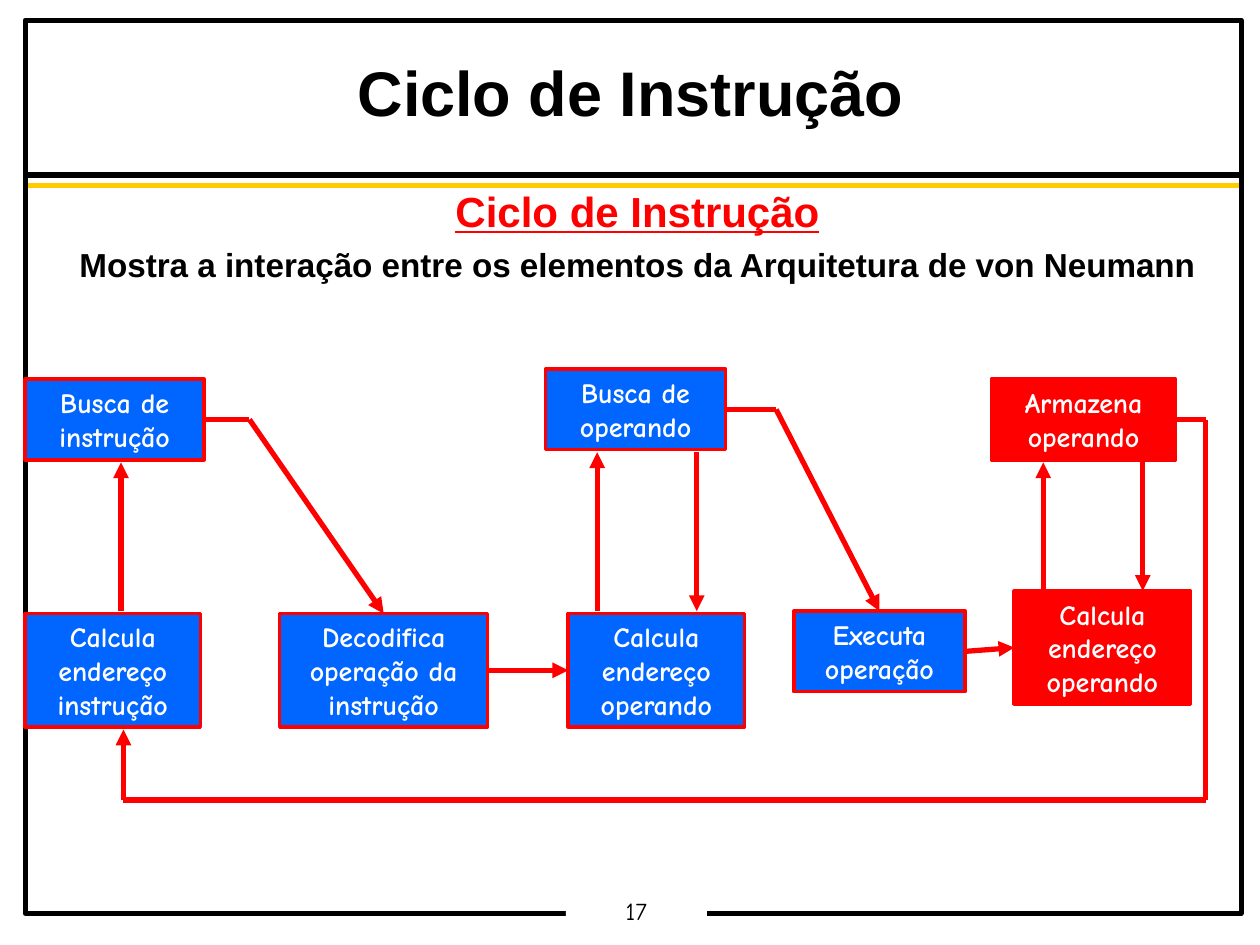
from pptx import Presentation
from pptx.dml.color import RGBColor as RGB
from pptx.enum.shapes import MSO_CONNECTOR as Conn, MSO_SHAPE as Kind
from pptx.enum.text import MSO_ANCHOR as Anchor, PP_ALIGN as Align
from pptx.oxml.ns import qn
from pptx.util import Inches, Pt
from lxml.etree import SubElement

INK = {"black": "000000", "white": "FFFFFF", "red": "FF0000",
       "blue": "0066FF", "gold": "FFCC00"}
SANS, COMIC = "Arial", "Comic Neue"
RIGHT, LEFT, TOP = 3, 1, 0

TITLE = [("Ciclo de Instrução", 36, "black", False, 0)]
BODY = [
    ("Ciclo de Instrução", 24, "red", True, 0),
    ("Mostra a interação entre os elementos da Arquitetura de von Neumann",
     19, "black", False, 7.1),
]
RULES = [(1.39, "black"), (1.47, "gold")]

STEPS = {
    "fetch op": ("Busca de operando", 4.33, 2.93, 1.43, 0.64, "blue"),
    "addr in": ("Calcula endereço instrução", 0.2, 4.87, 1.39, 0.9, "blue"),
    "decode": ("Decodifica operação da instrução", 2.22, 4.87, 1.65, 0.9, "blue"),
    "addr op": ("Calcula endereço operando", 4.51, 4.87, 1.4, 0.9, "blue"),
    "run": ("Executa operação", 6.3, 4.85, 1.36, 0.64, "blue"),
    "store": ("Armazena operando", 7.87, 3.01, 1.46, 0.64, "red"),
    "addr out": ("Calcula endereço operando", 8.05, 4.69, 1.4, 0.9, "red"),
    "fetch in": ("Busca de instrução", 0.2, 3.01, 1.42, 0.64, "blue"),
}

ROUTES = [
    [(0.96, 4.85), (0.96, 3.67)],
    [("fetch in", RIGHT), (1.98, 3.33), ("decode", TOP)],
    [("decode", RIGHT), ("addr op", LEFT)],
    [(4.74, 4.85), (4.74, 3.59)],
    [(5.53, 3.59), (5.53, 4.85)],
    [("fetch op", RIGHT), (6.16, 3.25), ("run", TOP)],
    [("run", RIGHT), ("addr out", LEFT)],
    [(8.28, 4.7), (8.28, 3.67)],
    [(9.07, 3.67), (9.07, 4.69)],
    [("store", RIGHT), (9.57, 3.33), (9.57, 6.35), (0.98, 6.35), (0.98, 5.79)],
]


def tint(name):
    return RGB.from_string(INK[name])


def style(para, size, font, color, bold=False, under=False):
    para.alignment = Align.CENTER
    for run in para.runs:
        face = run.font
        face.size, face.name = Pt(size), font
        face.bold, face.underline = bold, under
        face.color.rgb = tint(color)


def add_box(slide, x, y, w, h, fill=None, line=None, width=2):
    box = slide.shapes.add_shape(
        Kind.RECTANGLE, Inches(x), Inches(y), Inches(w), Inches(h))
    box.shadow.inherit = False
    if fill:
        box.fill.solid()
        box.fill.fore_color.rgb = tint(fill)
    else:
        box.fill.background()
    if line:
        box.line.color.rgb = tint(line)
        box.line.width = Pt(width)
    else:
        box.line.fill.background()
    return box


def add_text(slide, x, y, w, h, rows, space):
    frame = slide.shapes.add_textbox(
        Inches(x), Inches(y), Inches(w), Inches(h)).text_frame
    frame.word_wrap = True
    frame.margin_top = frame.margin_bottom = Inches(0.05)
    frame.text = "\n".join(row[0] for row in rows)
    for para, (_, size, color, under, gap) in zip(frame.paragraphs, rows):
        style(para, size, SANS, color, True, under)
        para.line_spacing = space
        para.space_before = Pt(gap)


def add_line(slide, start, end, color, arrow=False):
    line = slide.shapes.add_connector(
        Conn.STRAIGHT, *[Inches(v) for v in (*start, *end)])
    line.line.color.rgb = tint(color)
    line.line.width = Pt(3)
    if arrow:
        SubElement(line.line._get_or_add_ln(), qn("a:tailEnd"), type="triangle")
    SubElement(line._element.spPr, qn("a:effectLst"))
    return line


def spot(end):
    if end[0] not in STEPS:
        return end
    _, x, y, w, h, _ = STEPS[end[0]]
    return {TOP: (x + w / 2, y), LEFT: (x, y + h / 2),
            RIGHT: (x + w, y + h / 2)}[end[1]]


def add_route(slide, route, boxes):
    for i, (start, end) in enumerate(zip(route, route[1:]), 2):
        line = add_line(slide, spot(start), spot(end), "red", i == len(route))
        if start[0] in boxes:
            line.begin_connect(boxes[start[0]], start[1])
        if end[0] in boxes:
            line.end_connect(boxes[end[0]], end[1])


def main():
    deck = Presentation()
    deck.slide_width, deck.slide_height = Inches(10), Inches(7.5)
    slide = deck.slides.add_slide(deck.slide_layouts[6])

    for y, color in RULES:
        add_line(slide, (0.2, y), (9.84, y), color)
    add_box(slide, 0.2, 0.16, 9.65, 7.09, line="black", width=2.83)
    page = add_box(slide, 4.49, 7.09, 1.12, 0.27, fill="white")
    page.text_frame.text = "17"
    page.text_frame.margin_top = page.text_frame.margin_bottom = Inches(0.03)
    style(page.text_frame.paragraphs[0], 14, COMIC, "black")

    add_text(slide, 0.16, 1.47, 9.8, 1.18, BODY, 0.9)
    add_text(slide, 0.28, 0.42, 9.45, 0.66, TITLE, 0.95)

    boxes = {}
    for key, (text, x, y, w, h, fill) in STEPS.items():
        box = boxes[key] = add_box(slide, x, y, w, h, fill, "red")
        frame = box.text_frame
        frame.word_wrap = True
        frame.vertical_anchor = Anchor.MIDDLE
        frame.text = text
        style(frame.paragraphs[0], 16, COMIC, "white", True)
    for route in ROUTES:
        add_route(slide, route, boxes)

    deck.save("out.pptx")


if __name__ == "__main__":
    main()
